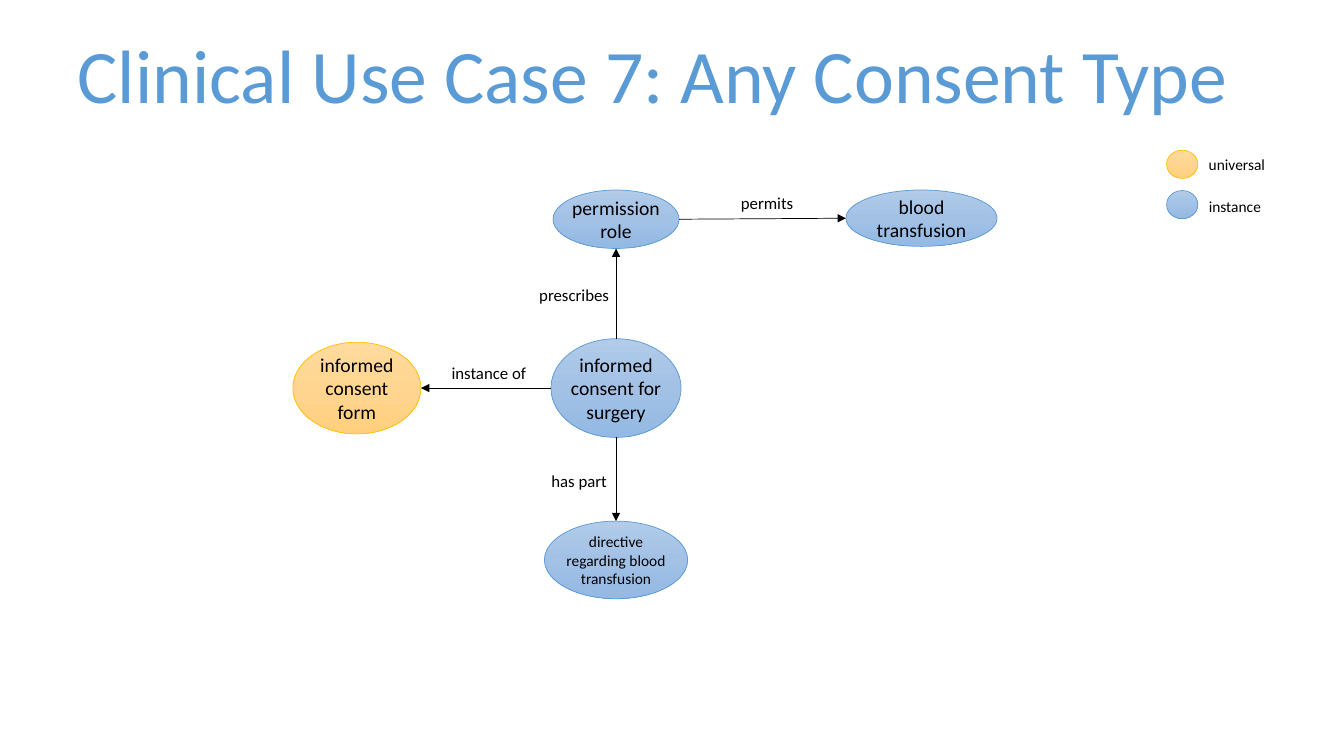
from lxml.etree import SubElement
from pptx import Presentation
from pptx.dml.color import RGBColor
from pptx.enum.shapes import MSO_CONNECTOR as Connector, MSO_SHAPE as Shape
from pptx.enum.text import MSO_ANCHOR as Anchor, MSO_AUTO_SIZE as AutoSize, PP_ALIGN as Align
from pptx.oxml.ns import qn
from pptx.util import Inches, Pt

CELL = Inches(0.1)  # one column or row of the grid
COLORS = {"title": "5B9BD5", "text": "000000", "arrow": "000000"}
KINDS = {
    "universal": {"stops": ("FFDB9E", "FFD590", "FFD07C"), "outline": "FFC000"},
    "instance": {"stops": ("B1CBE9", "A3C1E5", "93B9E4"), "outline": "5B9BD5"},
}


def grid(*cells):
    return [round(cell * CELL) for cell in cells]


class Diagram:
    font_name = "Calibri"
    line_width = Pt(0.5)

    def __init__(self, deck):
        self.page = deck.slides.add_slide(deck.slide_layouts[5])

    def set_text(self, box, text, size, color="text", align=Align.LEFT, **frame_format):
        frame = box.text_frame
        for name, value in frame_format.items():
            setattr(frame, name, value)
        para = frame.paragraphs[0]
        para.alignment = align
        span = para.add_run()
        span.text = text
        for name, value in {"name": self.font_name, "size": Pt(size)}.items():
            setattr(span.font, name, value)
        span.font.color.rgb = RGBColor.from_string(COLORS[color])

    def title(self, text, left, top, width, height):
        box = self.page.shapes.title
        box.left, box.top, box.width, box.height = grid(left, top, width, height)
        self.set_text(box, text, 54, "title", word_wrap=True, vertical_anchor=Anchor.TOP,
                      auto_size=AutoSize.SHAPE_TO_FIT_TEXT)

    def label(self, text, size, left, top, width, height):
        box = self.page.shapes.add_textbox(*grid(left, top, width, height))
        self.set_text(box, text, size, word_wrap=False, auto_size=AutoSize.SHAPE_TO_FIT_TEXT)

    def ellipse(self, kind, center, middle, width, height, text="", size=14):
        """Draw a gradient ellipse around a centre point."""
        node = self.page.shapes.add_shape(
            Shape.OVAL, *grid(center - width / 2, middle - height / 2, width, height))
        node.shadow.inherit = False
        node.fill.gradient()
        node.fill.gradient_angle = 270
        stops = node._element.spPr.find(qn("a:gradFill")).find(qn("a:gsLst"))
        for stop in list(stops):
            stops.remove(stop)
        for index, color in enumerate(KINDS[kind]["stops"]):
            stop = SubElement(stops, qn("a:gs"), pos=str(index * 50000))
            SubElement(stop, qn("a:srgbClr"), val=color)
        node.line.color.rgb = RGBColor.from_string(KINDS[kind]["outline"])
        node.line.width = self.line_width
        if text:
            self.set_text(node, text, size, align=Align.CENTER, word_wrap=True,
                          vertical_anchor=Anchor.MIDDLE, margin_left=0, margin_right=0,
                          margin_top=0, margin_bottom=0)
        return node

    def arrow(self, source, target, direction):
        """Join the facing edges of two nodes; direction is (across, down)."""
        across, down = direction

        def edge(node, sign):
            return (round(node.left + node.width * (1 + sign * across) / 2),
                    round(node.top + node.height * (1 + sign * down) / 2))

        link = self.page.shapes.add_connector(
            Connector.STRAIGHT, *edge(source, 1), *edge(target, -1))
        link.line.color.rgb = RGBColor.from_string(COLORS["arrow"])
        link.line.width = self.line_width
        properties = link._element.spPr
        SubElement(properties.find(qn("a:ln")), qn("a:tailEnd"), type="triangle")
        SubElement(properties, qn("a:effectLst"))


def main():
    deck = Presentation()
    deck.slide_width, deck.slide_height = Inches(13.33), Inches(7.5)
    diagram = Diagram(deck)
    diagram.title("Clinical Use Case 7: Any Consent Type", 6.7, 2.3, 119.9, 10.1)

    # Legend
    for kind, middle, label_top, label_width in (
            ("universal", 16.3, 14.9, 7.7), ("instance", 20.3, 19.1, 7.2)):
        diagram.ellipse(kind, 117.25, middle, 3.1, 2.8)
        diagram.label(kind, 11, 118.9, label_top, label_width, 2.9)

    # Nodes: the consent sits in the middle of the main column
    main_column, main_row = 61.1, 38.5
    consent = diagram.ellipse("instance", main_column, main_row, 12.9, 9.8,
                              "informed consent for surgery")
    form = diagram.ellipse("universal", 35.4, main_row, 12.7, 9.1, "informed consent form")
    role = diagram.ellipse("instance", main_column, 21.75, 12.5, 5.8, "permission role")
    transfusion = diagram.ellipse("instance", 91.4, 21.65, 15, 5.6, "blood transfusion")
    directive = diagram.ellipse("instance", main_column, 55.55, 14.2, 7.7,
                                "directive regarding blood transfusion", 11)

    # Relations: source, target, direction, then label left, top and width
    left, right, up, down = (-1, 0), (1, 0), (0, -1), (0, 1)
    for name, source, target, direction, *place in (
            ("prescribes", consent, role, up, 52.5, 27.8, 9),
            ("permits", role, transfusion, right, 72.5, 18.6, 7.3),
            ("has part", consent, directive, down, 53.7, 46.2, 7.6),
            ("instance of", consent, form, left, 43.8, 35.5, 9.5)):
        diagram.arrow(source, target, direction)
        diagram.label(name, 12, *place, 3)

    deck.save("out.pptx")


if __name__ == "__main__":
    main()
